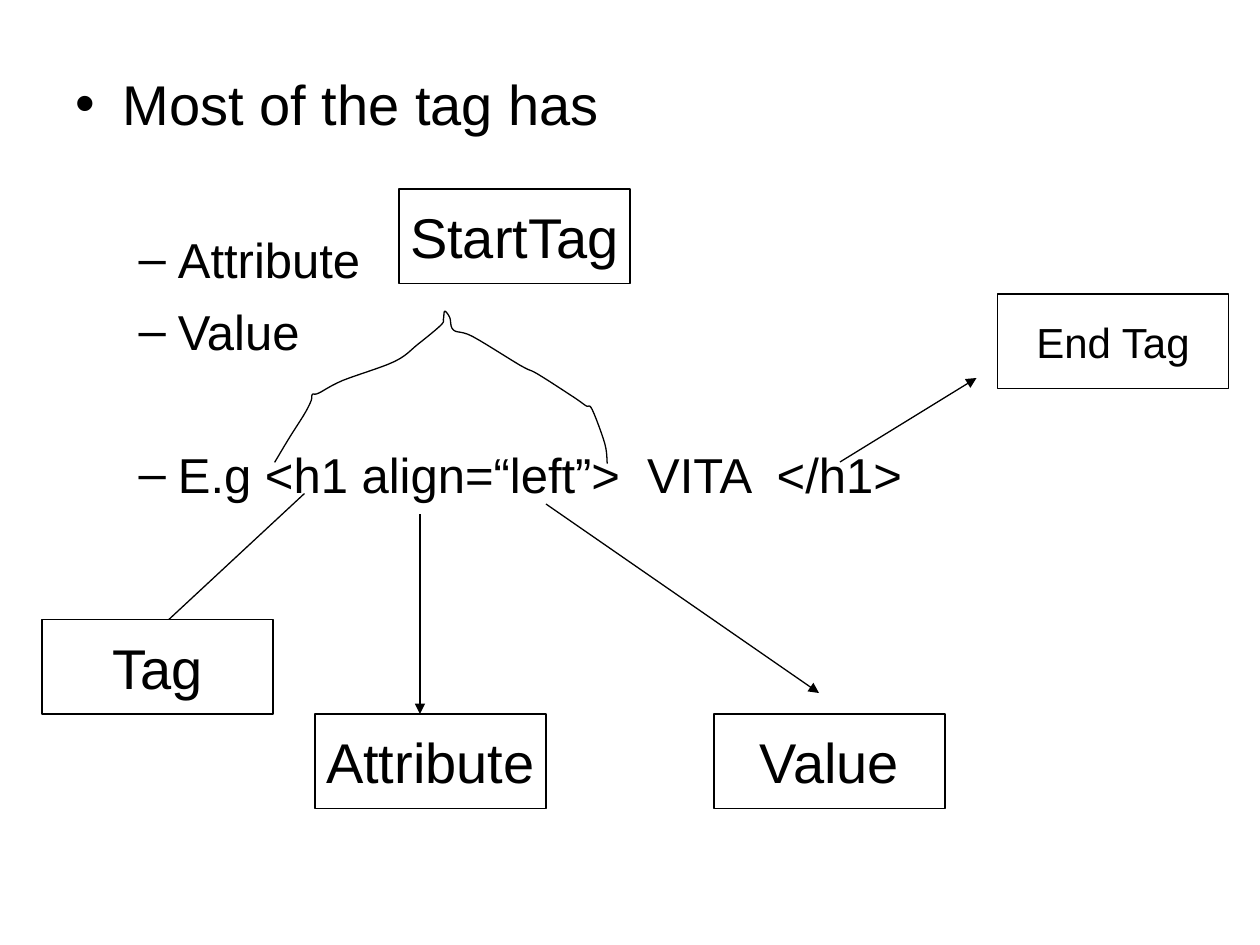
import pptx
import pptx.dml.color
import pptx.enum.shapes
import pptx.enum.text
import pptx.oxml.ns
import pptx.util
from lxml import etree

CELL = pptx.util.Inches(1) / 12  # grid of twelve cells to the inch
BOX_COLS, BOX_ROWS = 22, 9
BLACK, WHITE = "000000", "FFFFFF"

# Points of the hand-drawn brace, in inches
BRACE = [
    (2.18, 3.67), (2.3, 3.47), (2.42, 3.28), (2.47, 3.18), (2.48, 3.13),
    (2.53, 3.12), (2.72, 3.02), (3.13, 2.87), (3.32, 2.73), (3.5, 2.58),
    (3.52, 2.53), (3.53, 2.47), (3.57, 2.52), (3.6, 2.62), (3.75, 2.67),
    (4.13, 2.9), (4.27, 2.97), (4.55, 3.15), (4.65, 3.22), (4.7, 3.25),
    (4.8, 3.52), (4.82, 3.68),
]


def color(hex_code):
    return pptx.dml.color.RGBColor.from_string(hex_code)


def grid(*cells):
    return [pptx.util.Emu(round(cell * CELL)) for cell in cells]


def write(paragraph, text, size=32, level=0, before=None, align=None):
    paragraph.level = level
    paragraph.alignment = align
    if before is not None:
        paragraph.space_before = pptx.util.Pt(before)
    run = paragraph.add_run()
    run.text = text
    run.font.name = "Arial"
    run.font.size = pptx.util.Pt(size)
    run.font.color.rgb = color(BLACK)


def outline(shape):
    shape.line.color.rgb = color(BLACK)
    shape.line.width = pptx.util.Pt(0.75)


def add_box(slide, text, col, row, size=32):
    box = slide.shapes.add_shape(
        pptx.enum.shapes.MSO_SHAPE.RECTANGLE, *grid(col, row, BOX_COLS, BOX_ROWS))
    box.shadow.inherit = False
    box.fill.solid()
    box.fill.fore_color.rgb = color(WHITE)
    outline(box)
    box.text_frame.word_wrap = False
    box.text_frame.vertical_anchor = pptx.enum.text.MSO_ANCHOR.MIDDLE
    write(box.text_frame.paragraphs[0], text, size=size,
          align=pptx.enum.text.PP_ALIGN.CENTER)


def add_arrow(slide, start, end):
    arrow = slide.shapes.add_connector(
        pptx.enum.shapes.MSO_CONNECTOR.STRAIGHT, *grid(*start, *end))
    outline(arrow)
    qn = pptx.oxml.ns.qn
    etree.SubElement(arrow.line._get_or_add_ln(), qn("a:tailEnd"), type="triangle")
    etree.SubElement(arrow._element.spPr, qn("a:effectLst"))


def smooth(points, steps=6):
    """Catmull-Rom curve through all the points."""
    padded = [points[0], *points, points[-1]]
    curve = [points[0]]
    for a, b, c, d in zip(padded, padded[1:], padded[2:], padded[3:]):
        for step in range(1, steps + 1):
            t = step / steps
            curve.append(tuple(
                (2 * q + (r - p) * t + (2 * p - 5 * q + 4 * r - s) * t ** 2
                 + (3 * q - p - 3 * r + s) * t ** 3) / 2
                for p, q, r, s in zip(a, b, c, d)))
    return curve


def add_brace(slide, points):
    # The builder rounds to whole units, so it is given EMU
    start, *rest = [(pptx.util.Inches(x), pptx.util.Inches(y))
                    for x, y in smooth(points)]
    builder = slide.shapes.build_freeform(*start)
    builder.add_line_segments(rest, close=False)
    brace = builder.convert_to_shape()
    brace.shadow.inherit = False
    brace.fill.background()
    outline(brace)


def fill_body(body):
    body.left, body.top, body.width, body.height = grid(6, 6, 108, 74.4)
    frame = body.text_frame
    frame.auto_size = pptx.enum.text.MSO_AUTO_SIZE.NONE
    write(frame.paragraphs[0], "Most of the tag has", before=8)
    for text, before in [("Attribute", 53), ("Value", 7.5),
                         ("E.g <h1 align=“left”>  VITA  </h1>", 48)]:
        write(frame.add_paragraph(), text, size=28, level=1, before=before)


def main():
    deck = pptx.Presentation()
    deck.slide_width, deck.slide_height = grid(120, 90)
    slide = deck.slides.add_slide(deck.slide_layouts[1])

    # List in the body; the slide has no title
    title = slide.shapes.title._element
    title.getparent().remove(title)
    fill_body(slide.placeholders[1])

    # Arrows from the parts of the example to their names
    for start, end in [((29, 47), (15, 60)), ((40, 49), (40, 68)),
                       ((52, 48), (78, 66)), ((80, 44), (93, 36))]:
        add_arrow(slide, start, end)

    # Brace over the start tag
    add_brace(slide, BRACE)

    # Names of the parts
    for text, col, row in [("Tag", 4, 59), ("Attribute", 30, 68),
                           ("Value", 68, 68), ("StartTag", 38, 18)]:
        add_box(slide, text, col, row)
    add_box(slide, "End Tag", 95, 28, size=24)

    deck.save("out.pptx")


if __name__ == "__main__":
    main()
